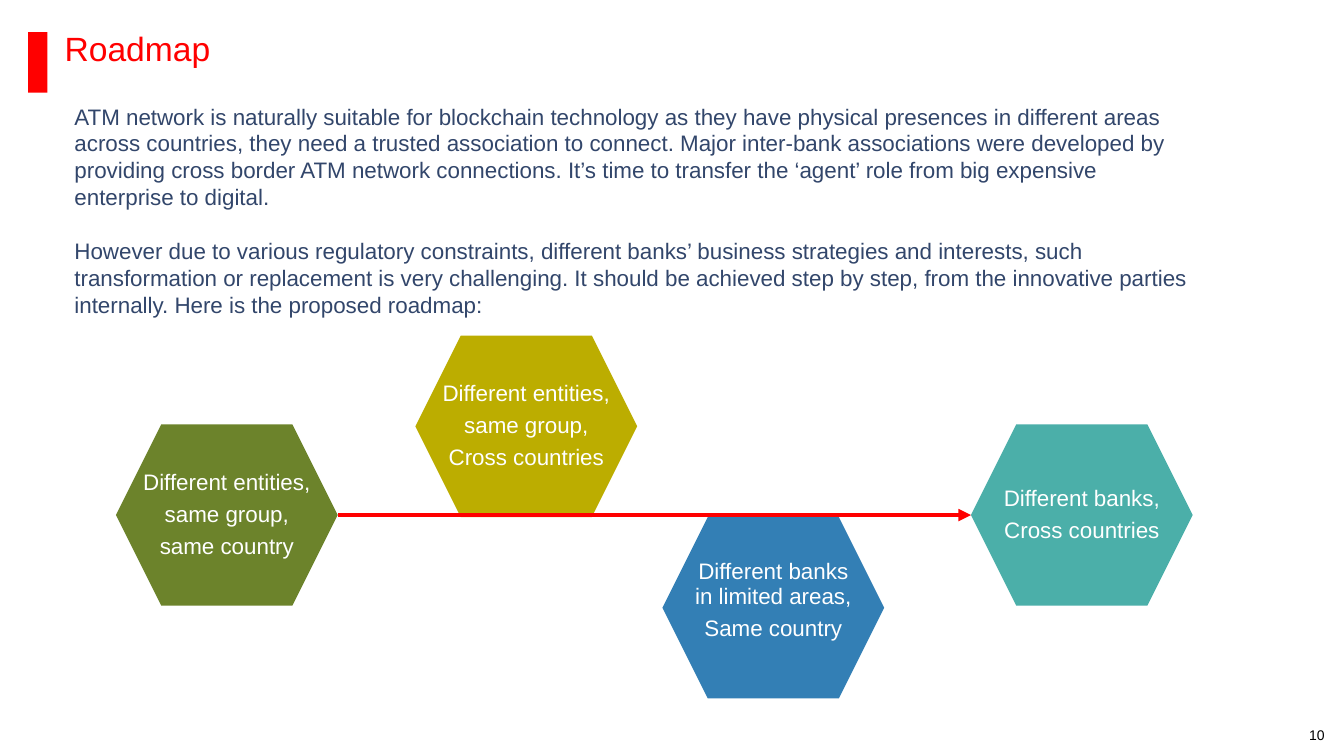
from dataclasses import dataclass
from pptx import Presentation
from pptx.dml.color import RGBColor
from pptx.enum.shapes import MSO_CONNECTOR, MSO_SHAPE
from pptx.enum.text import MSO_ANCHOR, PP_ALIGN
from pptx.oxml.ns import qn
from pptx.util import Inches, Pt
from lxml.etree import SubElement


@dataclass(frozen=True)
class Theme:
    """Colours, type sizes and gaps (points) of the deck."""
    font: str = "Arial"
    red: str = "FF0000"
    navy: str = "32466B"
    white: str = "FFFFFF"
    black: str = "000000"
    olive: str = "6C832B"
    gold: str = "BCAD00"
    blue: str = "337FB5"
    teal: str = "4BAFA9"
    head: int = 24
    body: int = 16
    small: int = 10
    rule: int = 3
    wide_gap: float = 19.2
    slim_gap: float = 5.7


class Board:
    """Draws elements on one slide; lengths are cells of a 0.1 inch grid."""
    cell = Inches(0.1)

    def __init__(self, slide, theme):
        """Keep the slide and its style."""
        self.slide, self.theme = slide, theme

    def grid(self, *cells):
        """Turn grid cells into slide lengths."""
        return [round(n * self.cell) for n in cells]

    def shape(self, kind, box, tint):
        """Add a flat shape without outline."""
        item = self.slide.shapes.add_shape(kind, *self.grid(*box))
        item.shadow.inherit = False
        item.fill.solid()
        item.fill.fore_color.rgb = RGBColor.from_string(tint)
        item.line.fill.background()
        return item

    def text(self, box, lines, size, tint, pads=(0, 0, 0, 0), gap=0,
             lead=1.0, align=PP_ALIGN.LEFT, anchor=MSO_ANCHOR.TOP, wrap=True):
        """Add a text box with one paragraph for each line."""
        frame = self.slide.shapes.add_textbox(*self.grid(*box)).text_frame
        frame.word_wrap, frame.vertical_anchor = wrap, anchor
        (frame.margin_left, frame.margin_top,
         frame.margin_right, frame.margin_bottom) = self.grid(*pads)
        for i, line in enumerate(lines):
            para = frame.add_paragraph() if i else frame.paragraphs[0]
            para.alignment, para.line_spacing = align, lead
            para.space_before = Pt(gap if i else 0)
            run = para.add_run()
            run.text = line
            run.font.name, run.font.size = self.theme.font, Pt(size)
            run.font.color.rgb = RGBColor.from_string(tint)

    def arrow(self, start, end, tint):
        """Add a straight line with an arrowhead at its end."""
        link = self.slide.shapes.add_connector(
            MSO_CONNECTOR.STRAIGHT, *self.grid(*start, *end))
        link.line.width = Pt(self.theme.rule)
        link.line.color.rgb = RGBColor.from_string(tint)
        SubElement(link.line._get_or_add_ln(), qn("a:tailEnd"), type="triangle")
        SubElement(link._element.spPr, qn("a:effectLst"))

    def stage(self, left, top, tint, lines, drop=0):
        """Add one roadmap hexagon with its label."""
        wide, high = HEX
        item = self.shape(MSO_SHAPE.HEXAGON, (left, top, wide, high), tint)
        item.adjustments[0] = 0.25
        self.text((left + 2.6, top + 2.8 + drop, wide - 5.2, high - 5.6), lines,
                  self.theme.body, self.theme.white, (0, 0.3, 0, 0.3),
                  self.theme.slim_gap, 0.9, PP_ALIGN.CENTER, MSO_ANCHOR.MIDDLE)


HEX = 22, 18
AXIS = 51.1
FIRST, LAST = 11.5, 96.3
BODY = (
    "ATM network is naturally suitable for blockchain technology as they have "
    "physical presences in different areas across countries, they need a trusted "
    "association to connect. Major inter-bank associations were developed by "
    "providing cross border ATM network connections. It’s time to transfer the "
    "‘agent’ role from big expensive enterprise to digital.",
    "However due to various regulatory constraints, different banks’ business "
    "strategies and interests, such transformation or replacement is very "
    "challenging. It should be achieved step by step, from the innovative parties "
    "internally. Here is the proposed roadmap:",
)


def build():
    """Build the roadmap slide and save it."""
    deck = Presentation()
    deck.slide_width, deck.slide_height = Inches(13.33), Inches(7.5)
    look = Theme()
    board = Board(deck.slides.add_slide(deck.slide_layouts[6]), look)

    board.shape(MSO_SHAPE.RECTANGLE, (2.8, 3.2, 1.9, 6), look.red)
    board.text((129.5, 72, 2.2, 1.8), ["10"], look.small, look.black,
               align=PP_ALIGN.CENTER, anchor=MSO_ANCHOR.MIDDLE, wrap=False)
    board.text((6.4, 3.2, 118.5, 6.9), ["Roadmap"], look.head, look.red,
               (0, 0, 0, 0.2), lead=0.9)

    side, below = AXIS - HEX[1] / 2, AXIS + 0.2
    stages = (
        (FIRST, side, look.olive,
         ("Different entities,", "same group,", "same country")),
        (LAST, side, look.teal, ("Different banks,", "Cross countries")),
        (65.7, below, look.blue,
         ("Different banks in limited areas,", "Same country"), -0.7),
        (41.2, below - HEX[1], look.gold,
         ("Different entities,", "same group,", "Cross countries")),
    )
    for stage in stages:
        board.stage(*stage)
    board.arrow((FIRST + HEX[0], AXIS), (LAST, AXIS), look.red)
    board.text((6.4, 9.7, 113.3, 22.6), BODY, look.body, look.navy,
               (1, 0.5, 1, 0.5), look.wide_gap)
    deck.save("out.pptx")


build()
